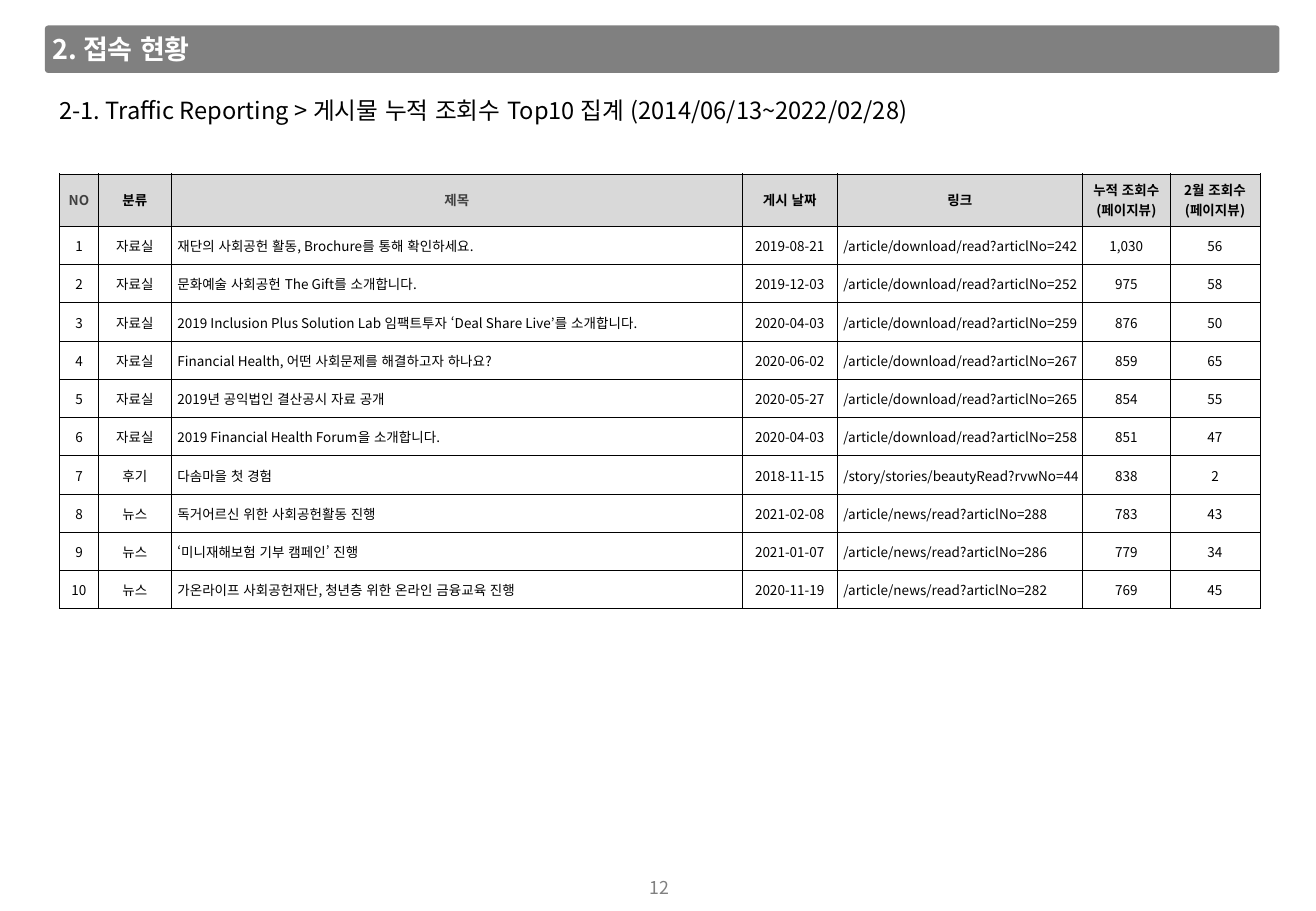
from lxml.etree import SubElement
from pptx import Presentation
from pptx.dml.color import RGBColor
from pptx.enum.lang import MSO_LANGUAGE_ID
from pptx.enum.shapes import MSO_SHAPE
from pptx.enum.text import MSO_ANCHOR, PP_ALIGN
from pptx.oxml.ns import qn
from pptx.util import Inches, Pt

FONT = "Noto Sans CJK KR"
BLACK, WHITE, GRAY = "000000", "FFFFFF", "808080"
DARK_GRAY, LIGHT_GRAY = "404040", "D9D9D9"


def color(hex_string):
    return RGBColor.from_string(hex_string)


class SlideBuilder:
    def __init__(self, slide, font):
        self.slide = slide
        self.font = font

    def style(self, frame, size, text_color, bold=False, align=PP_ALIGN.LEFT):
        for paragraph in frame.paragraphs:
            paragraph.alignment = align
            font = paragraph.font
            font.size, font.bold, font.name = Pt(size), bold, self.font
            font.color.rgb = color(text_color)
            font.language_id = MSO_LANGUAGE_ID.KOREAN
            # Hangul takes the East Asian typeface
            properties = paragraph._p.pPr.find(qn("a:defRPr"))
            SubElement(properties, qn("a:ea"), typeface=self.font)

    def fill_text(self, shape, text, size, text_color, margin=0.05, wrap=True, **style):
        frame = shape.text_frame
        frame.text = text
        frame.word_wrap = wrap
        frame.vertical_anchor = MSO_ANCHOR.MIDDLE
        frame.margin_left = frame.margin_right = Inches(margin)
        frame.margin_top = frame.margin_bottom = Inches(margin)
        self.style(frame, size, text_color, **style)

    def bar(self, left, top, width, height, fill):
        shape = self.slide.shapes.add_shape(
            MSO_SHAPE.ROUNDED_RECTANGLE,
            Inches(left), Inches(top), Inches(width), Inches(height))
        shape.adjustments[0] = 0.07
        shape.shadow.inherit = False
        shape.fill.solid()
        shape.fill.fore_color.rgb = color(fill)
        shape.line.fill.background()
        # Place the bar behind the title
        self.slide.shapes.title.element.addprevious(shape.element)

    def title(self, left, top, width, height, text, size, text_color):
        title = self.slide.shapes.title
        title.left, title.top = Inches(left), Inches(top)
        title.width, title.height = Inches(width), Inches(height)
        self.fill_text(title, text, size, text_color, bold=True)

    def text(self, left, top, width, height, text, size, text_color, **options):
        box = self.slide.shapes.add_textbox(
            Inches(left), Inches(top), Inches(width), Inches(height))
        self.fill_text(box, text, size, text_color, **options)

    def border(self, cell, line_color, width):
        properties = cell._tc.get_or_add_tcPr()
        for side in ("lnL", "lnR", "lnT", "lnB"):
            line = SubElement(properties, qn(f"a:{side}"), w=str(Pt(width)))
            fill = SubElement(line, qn("a:solidFill"))
            SubElement(fill, qn("a:srgbClr"), val=line_color)

    def cell(self, cell, text, text_color, fill=None, indent=0.0, **style):
        cell.text = text
        cell.vertical_anchor = MSO_ANCHOR.MIDDLE
        cell.margin_left = Inches(0.01 + indent)
        cell.margin_right = cell.margin_top = Inches(0.01)
        cell.margin_bottom = Inches(0.01 if fill else 0)
        self.style(cell.text_frame, 8, text_color, **style)
        self.border(cell, BLACK, 0.25)
        if fill:
            cell.fill.solid()
            cell.fill.fore_color.rgb = color(fill)
        else:
            cell.fill.background()

    def table(self, left, top, widths, height, header_height, headers, rows, left_columns):
        row_height = (height - header_height) / len(rows)
        table = self.slide.shapes.add_table(
            len(rows) + 1, len(widths), Inches(left), Inches(top),
            Inches(sum(widths)), Inches(height)).table
        table.horz_banding = table.first_row = False
        for column, width in zip(table.columns, widths):
            column.width = Inches(width)
        for index, row in enumerate(table.rows):
            row.height = Inches(row_height if index else header_height)
        for column, (text, text_color) in enumerate(headers):
            self.cell(table.cell(0, column), text, text_color, fill=LIGHT_GRAY,
                      bold=True, align=PP_ALIGN.CENTER)
        for row, values in enumerate(rows, 1):
            for column, text in enumerate(values):
                is_left = column in left_columns
                self.cell(table.cell(row, column), text, BLACK,
                          indent=0.04 if is_left else 0,
                          align=PP_ALIGN.LEFT if is_left else PP_ALIGN.CENTER)


# Table content
headers = [
    ("NO", DARK_GRAY), ("분류", BLACK), ("제목", DARK_GRAY), ("게시 날짜", BLACK),
    ("링크", BLACK), ("누적 조회수\n(페이지뷰)", BLACK), ("2월 조회수\n(페이지뷰)", BLACK),
]
download = "/article/download/read?articlNo="
news = "/article/news/read?articlNo="
review = "/story/stories/beautyRead?rvwNo="
posts = [
    ("자료실", "재단의 사회공헌 활동, Brochure를 통해 확인하세요.",
     "2019-08-21", download + "242", "1,030", "56"),
    ("자료실", "문화예술 사회공헌 The Gift를 소개합니다.",
     "2019-12-03", download + "252", "975", "58"),
    ("자료실", "2019 Inclusion Plus Solution Lab 임팩트투자 ‘Deal Share Live’를 소개합니다.",
     "2020-04-03", download + "259", "876", "50"),
    ("자료실", "Financial Health, 어떤 사회문제를 해결하고자 하나요?",
     "2020-06-02", download + "267", "859", "65"),
    ("자료실", "2019년 공익법인 결산공시 자료 공개",
     "2020-05-27", download + "265", "854", "55"),
    ("자료실", "2019 Financial Health Forum을 소개합니다.",
     "2020-04-03", download + "258", "851", "47"),
    ("후기", "다솜마을 첫 경험", "2018-11-15", review + "44", "838", "2"),
    ("뉴스", "독거어르신 위한 사회공헌활동 진행",
     "2021-02-08", news + "288", "783", "43"),
    ("뉴스", "‘미니재해보험 기부 캠페인’ 진행",
     "2021-01-07", news + "286", "779", "34"),
    ("뉴스", "가온라이프 사회공헌재단, 청년층 위한 온라인 금융교육 진행",
     "2020-11-19", news + "282", "769", "45"),
]
rows = [(str(number), *post) for number, post in enumerate(posts, 1)]

presentation = Presentation()
presentation.slide_width, presentation.slide_height = Inches(10.83), Inches(7.5)
slide = presentation.slides.add_slide(presentation.slide_layouts[5])
builder = SlideBuilder(slide, FONT)

# Heading
builder.bar(0.37, 0.21, 10.16, 0.39, GRAY)
builder.title(0.38, 0.22, 1.64, 0.37, "2. 접속 현황", 16, WHITE)
builder.text(0.44, 0.74, 7.93, 0.34,
             "2-1. Traffic Reporting > 게시물 누적 조회수 Top10 집계 (2014/06/13~2022/02/28)",
             14, BLACK)

# Top 10 posts
builder.table(0.49, 1.43, [0.32, 0.6, 4.7, 0.78, 2.02, 0.72, 0.74], 3.58, 0.43,
              headers, rows, left_columns=(2, 4))

# Page number
builder.text(5.29, 7.18, 0.27, 0.26, "12", 10.5, GRAY,
             margin=0.04, wrap=False, align=PP_ALIGN.CENTER)

presentation.save("out.pptx")
